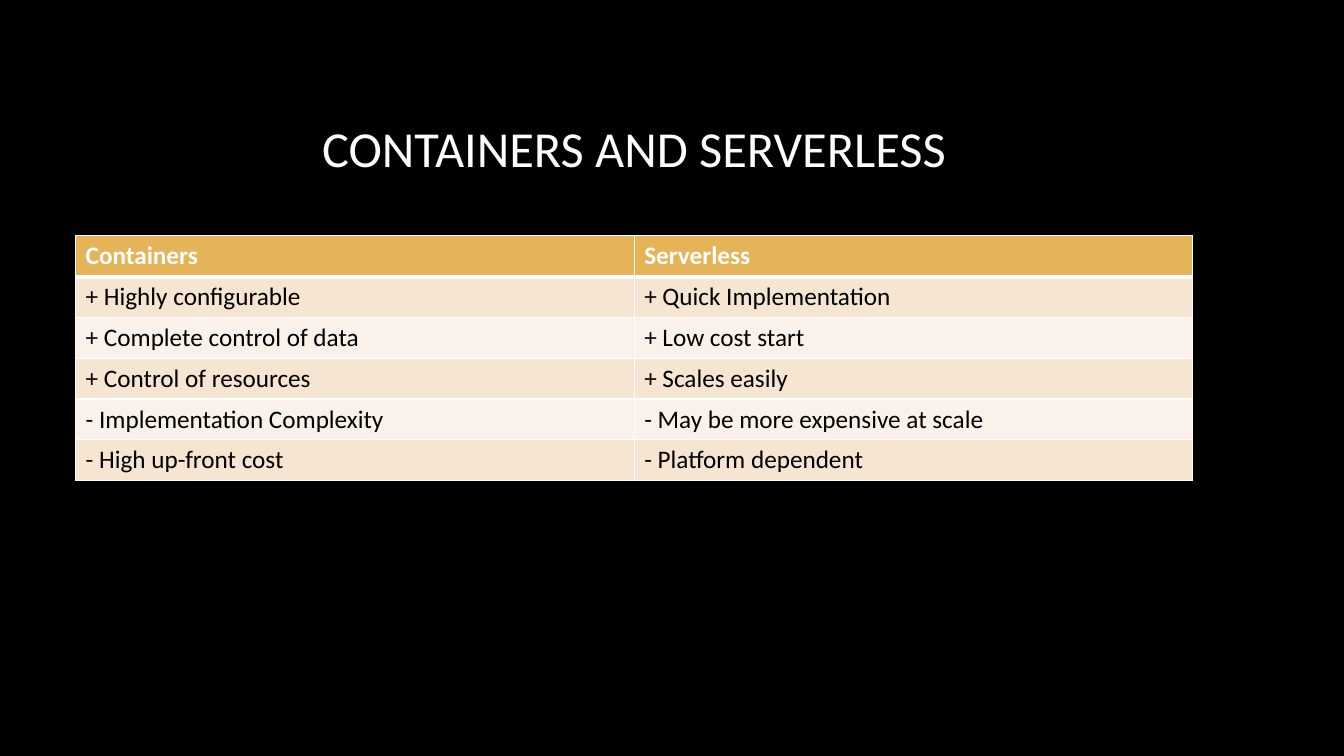
from dataclasses import dataclass

from pptx import Presentation
from pptx.dml.color import RGBColor
from pptx.enum.text import MSO_ANCHOR as Anchor, PP_ALIGN as Align
from pptx.oxml.ns import qn
from pptx.table import _Cell as Cell
from pptx.text.text import TextFrame
from pptx.util import Inches, Pt
from lxml.etree import SubElement

WHITE = RGBColor(0xFF, 0xFF, 0xFF)
BLACK = RGBColor(0x00, 0x00, 0x00)
GOLD = RGBColor(0xE5, 0xB4, 0x58)
SAND = RGBColor(0xF5, 0xE5, 0xD1)
CREAM = RGBColor(0xFA, 0xF2, 0xEA)

LEFT, WIDTH = 0.75, 11.08


@dataclass(frozen=True)
class Row:
    containers: str
    serverless: str


ROWS = [
    Row("Containers", "Serverless"),
    Row("+ Highly configurable", "+ Quick Implementation"),
    Row("+ Complete control of data", "+ Low cost start"),
    Row("+ Control of resources", "+ Scales easily"),
    Row("- Implementation Complexity", "- May be more expensive at scale"),
    Row("- High up-front cost", "- Platform dependent"),
]


def write(tf: TextFrame, text: str, size: int, color: RGBColor,
          bold: bool = False, align: Align = Align.LEFT) -> None:
    p = tf.paragraphs[0]
    p.alignment = align
    r = p.add_run()
    r.text = text
    for name, value in {"name": "Calibri", "size": Pt(size), "bold": bold}.items():
        setattr(r.font, name, value)
    r.font.color.rgb = color


def add_borders(cell: Cell, widths: dict[str, int]) -> None:
    tc_pr = cell._tc.get_or_add_tcPr()
    for side, width in widths.items():
        ln = SubElement(tc_pr, qn(f"a:ln{side}"), w=str(Pt(width)))
        fill = SubElement(ln, qn("a:solidFill"))
        SubElement(fill, qn("a:srgbClr"), val=str(WHITE))


def format_cell(cell: Cell, text: str, row: int) -> None:
    header = row == 0
    add_borders(cell, {"L": 1, "R": 1, "T": 3 if row == 1 else 1, "B": 3 if header else 1})
    cell.fill.solid()
    cell.fill.fore_color.rgb = GOLD if header else SAND if row % 2 else CREAM
    write(cell.text_frame, text, 18, WHITE if header else BLACK, header)


def main() -> None:
    prs = Presentation()
    prs.slide_width, prs.slide_height = Inches(13.33), Inches(7.5)
    s = prs.slides.add_slide(prs.slide_layouts[6])
    s.background.fill.solid()
    s.background.fill.fore_color.rgb = BLACK

    title = s.shapes.add_textbox(Inches(LEFT), Inches(0.67), Inches(WIDTH), Inches(1.59))
    tf = title.text_frame
    for name, value in {"word_wrap": True, "vertical_anchor": Anchor.MIDDLE}.items():
        setattr(tf, name, value)
    write(tf, "CONTAINERS AND SERVERLESS", 36, WHITE, align=Align.CENTER)

    table = s.shapes.add_table(len(ROWS), 2, Inches(LEFT), Inches(2.34),
                               Inches(WIDTH), Inches(2.43)).table
    for i, row in enumerate(ROWS):
        for j, text in enumerate((row.containers, row.serverless)):
            format_cell(table.cell(i, j), text, i)

    prs.save("out.pptx")


if __name__ == "__main__":
    main()
